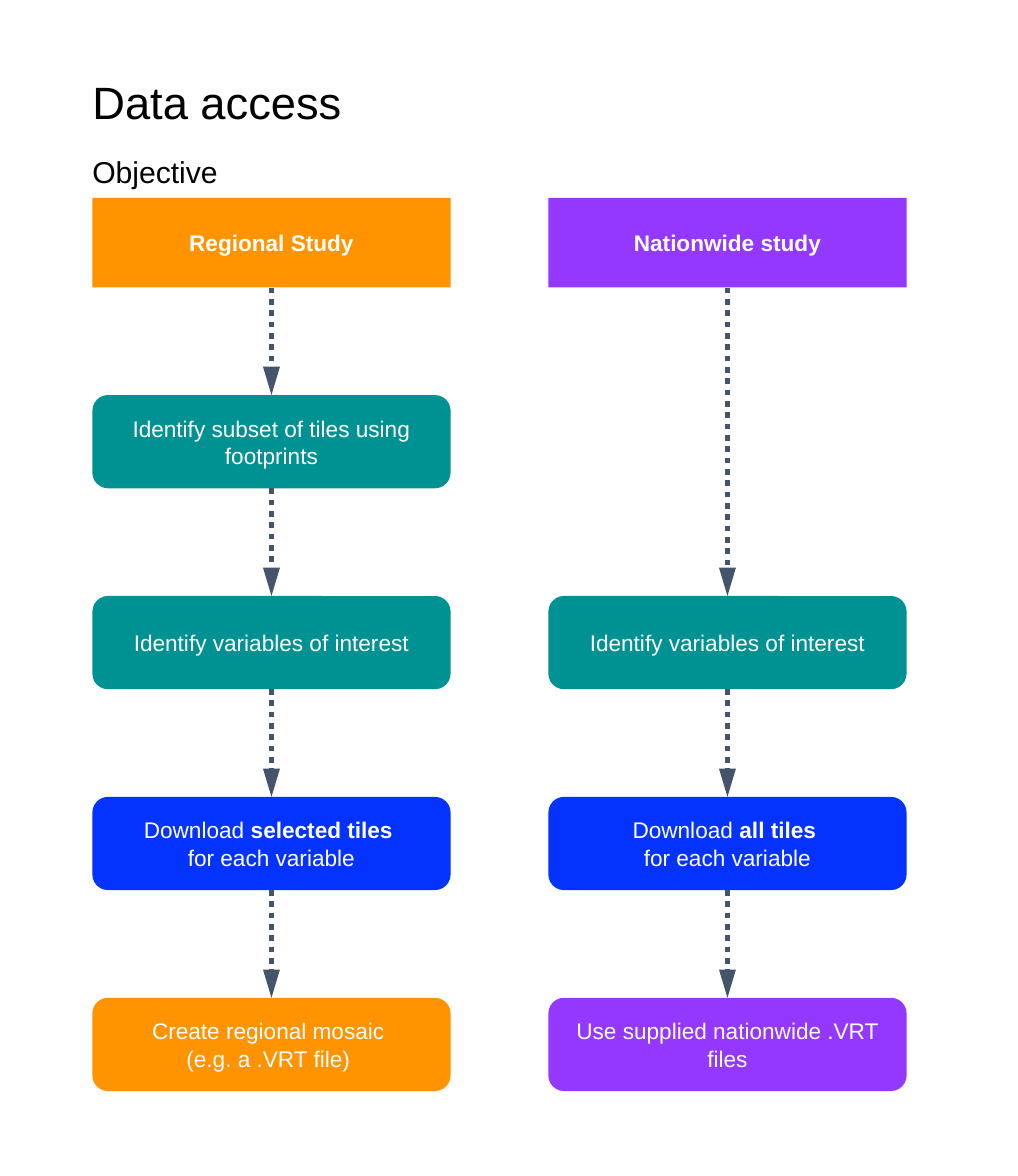
from lxml import etree
from pptx import Presentation
from pptx.dml.color import RGBColor
from pptx.enum.dml import MSO_LINE
from pptx.enum.shapes import MSO_CONNECTOR, MSO_SHAPE
from pptx.enum.text import MSO_ANCHOR, PP_ALIGN
from pptx.oxml.ns import qn
from pptx.util import Pt

BLACK = RGBColor(0x00, 0x00, 0x00)
WHITE = RGBColor(0xFF, 0xFF, 0xFF)
ORANGE = RGBColor(0xFF, 0x93, 0x00)
PURPLE = RGBColor(0x94, 0x37, 0xFF)
TEAL = RGBColor(0x00, 0x91, 0x93)
BLUE = RGBColor(0x04, 0x32, 0xFF)
SLATE = RGBColor(0x44, 0x54, 0x6A)

LEFT, BOX_W = 49, 190
HEADER_TOP, HEADER_H = 105, 47.5
STEP_TOP, STEP_H, STEP_PITCH = 209.5, 49.4, 106.55


def add_run(p, text, size, color, bold=False):
    r = p.add_run()
    r.text = text
    r.font.name = "Arial"
    r.font.size = Pt(size)
    r.font.bold = bold
    r.font.color.rgb = color


def add_box(s, preset, left, top, height, fill, lines):
    """Add a filled box; each line is a list of (text, bold) runs."""
    sp = s.shapes.add_shape(preset, Pt(left), Pt(top), Pt(BOX_W), Pt(height))
    sp.shadow.inherit = False
    sp.fill.solid()
    sp.fill.fore_color.rgb = fill
    sp.line.fill.background()
    tf = sp.text_frame
    tf.word_wrap = True
    tf.vertical_anchor = MSO_ANCHOR.MIDDLE
    for i, line in enumerate(lines):
        p = tf.add_paragraph() if i else tf.paragraphs[0]
        p.alignment = PP_ALIGN.CENTER
        for text, bold in line:
            add_run(p, text, 12, WHITE, bold)
    return sp


prs = Presentation()
prs.slide_width, prs.slide_height = Pt(540), Pt(623.62)
s = prs.slides.add_slide(prs.slide_layouts[6])

for text, top, width, height, size in [
    ("Data access", 39.6, 300, 29, 24),
    ("Objective", 81.4, 130, 19.4, 16),
]:
    tf = s.shapes.add_textbox(Pt(LEFT), Pt(top), Pt(width), Pt(height)).text_frame
    tf.word_wrap = True
    tf.margin_left = tf.margin_right = tf.margin_top = tf.margin_bottom = 0
    add_run(tf.paragraphs[0], text, size, BLACK)

# Each column: left edge, header, header colour, steps as (row, fill, lines)
variables = (1, TEAL, [[("Identify variables of interest", False)]])
for_each = [("for each variable", False)]
columns = [
    (LEFT, "Regional Study", ORANGE, [
        (0, TEAL, [[("Identify subset of tiles using footprints", False)]]),
        variables,
        (2, BLUE, [[("Download ", False), ("selected tiles ", True)], for_each]),
        (3, ORANGE, [[("Create regional mosaic ", False)],
                     [("(e.g. a .VRT file) ", False)]]),
    ]),
    (290.9, "Nationwide study", PURPLE, [
        variables,
        (2, BLUE, [[("Download ", False), ("all tiles ", True)], for_each]),
        (3, PURPLE, [[("Use supplied nationwide .VRT files", False)]]),
    ]),
]

for left, header, header_fill, steps in columns:
    boxes = [add_box(s, MSO_SHAPE.RECTANGLE, left, HEADER_TOP, HEADER_H,
                     header_fill, [[(header, True)]])]
    for row, fill, lines in steps:
        boxes.append(add_box(s, MSO_SHAPE.ROUNDED_RECTANGLE, left,
                             STEP_TOP + row * STEP_PITCH, STEP_H, fill, lines))
    for upper, lower in zip(boxes, boxes[1:]):
        arrow = s.shapes.add_connector(MSO_CONNECTOR.STRAIGHT, 0, 0, 0, 0)
        arrow.begin_connect(upper, 2)
        arrow.end_connect(lower, 0)
        arrow.line.color.rgb = SLATE
        arrow.line.width = Pt(3)
        arrow.line.dash_style = MSO_LINE.ROUND_DOT
        etree.SubElement(arrow.line._get_or_add_ln(), qn("a:tailEnd"),
                         type="triangle", w="med", len="lg")
        etree.SubElement(arrow._element.spPr, qn("a:effectLst"))

prs.save("out.pptx")
